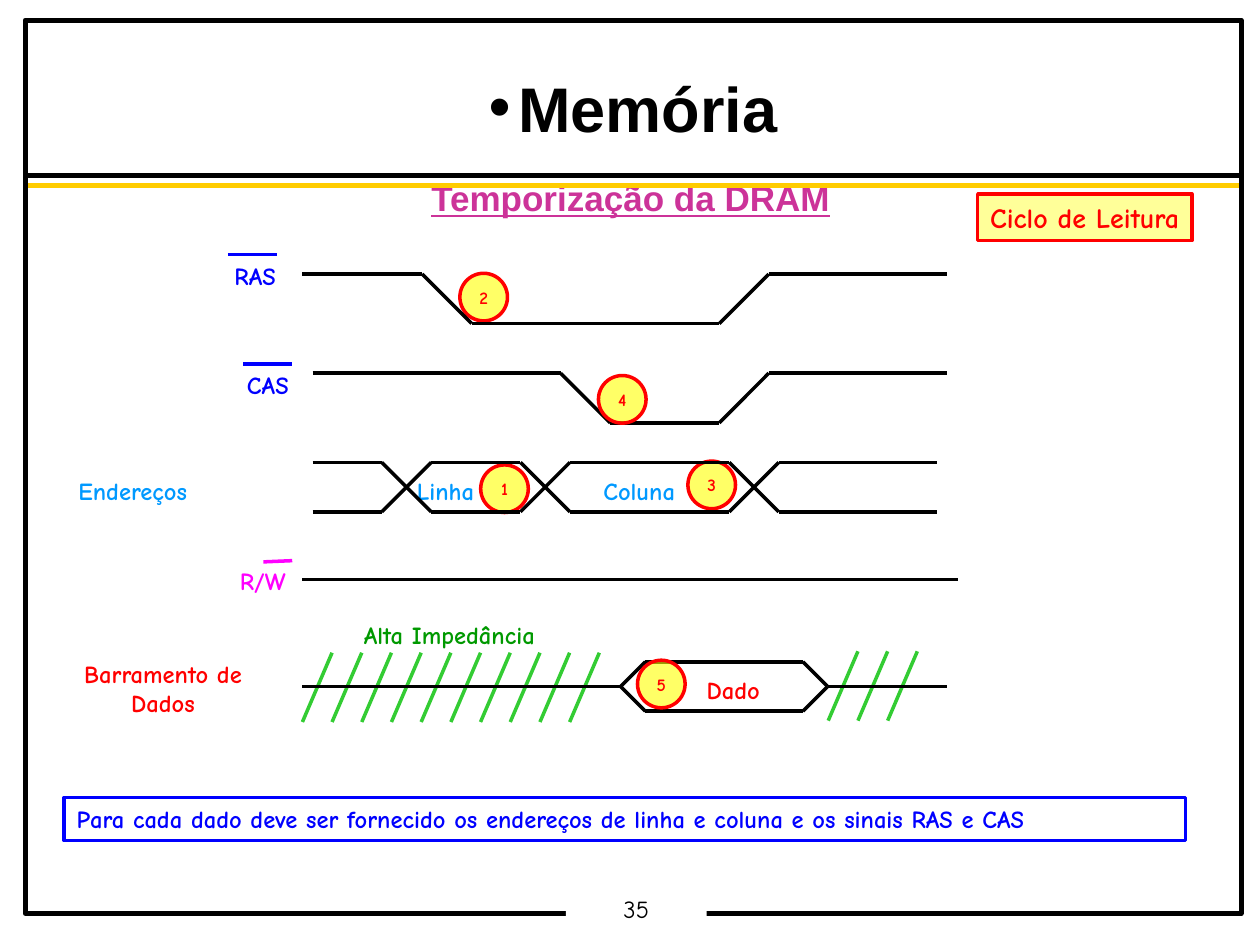
import pptx
import pptx.dml.color
import pptx.enum.shapes
import pptx.enum.text
import pptx.oxml.ns
import pptx.util
from lxml import etree

Pt = pptx.util.Pt
RGBColor = pptx.dml.color.RGBColor
Shape = pptx.enum.shapes.MSO_SHAPE
Align = pptx.enum.text.PP_ALIGN
Anchor = pptx.enum.text.MSO_ANCHOR
qn = pptx.oxml.ns.qn

BLACK = RGBColor(0x00, 0x00, 0x00)
WHITE = RGBColor(0xFF, 0xFF, 0xFF)
GOLD = RGBColor(0xFF, 0xCC, 0x00)
YELLOW = RGBColor(0xFF, 0xFF, 0x00)
RED = RGBColor(0xFF, 0x00, 0x00)
BLUE = RGBColor(0x00, 0x00, 0xFF)
SKY = RGBColor(0x00, 0x99, 0xFF)
MAGENTA = RGBColor(0xFF, 0x00, 0xFF)
PLUM = RGBColor(0xCC, 0x33, 0x99)
GREEN = RGBColor(0x00, 0x99, 0x00)
LIME = RGBColor(0x33, 0xCC, 0x33)
HAND_FONT = "Comic Neue"

# Content: text, box (left, top, width, height), colour, wrapped and centred
LABELS = [
    ("RAS", (118.8, 145.4, 54, 24.5), BLUE, True),
    ("CAS", (124.6, 208.1, 56.9, 24.5), BLUE, True),
    ("Endereços", (19.4, 268.6, 113, 24.5), SKY, True),
    ("Linha", (231.1, 268.6, 46.8, 24.5), SKY, False),
    ("Coluna", (337.7, 268.6, 55.4, 24.5), SKY, False),
    ("R/W", (121.7, 319.7, 56.9, 24.5), MAGENTA, True),
    ("Alta Impedância", (200.9, 350.6, 112.3, 24.5), GREEN, False),
    ("Barramento de Dados", (36.7, 373, 113, 41), RED, True),
    ("Dado", (396.7, 382.3, 44.6, 24.5), RED, False),
]
NEGATION_BARS = [
    ((130.3, 145.4), (158.4, 145.4), BLUE),
    ((139, 208.1), (167, 208.1), BLUE),
    ((150.5, 321.1), (167, 320.4), MAGENTA),
]
# Numbered steps: number, left, top
STEPS_BEHIND = [("1", 274.7, 265.7), ("2", 262.8, 156.2), ("3", 393.1, 263.5)]
STEPS_IN_FRONT = [("4", 342, 214.6), ("5", 364.3, 377.3)]
STEP_SIZE = 27.2

# Signals: start, end, high level, x of each transition, starts high
SWING = 28.3
SIGNALS = [
    (172.8, 541.4, 156.6, [241.2, 411], True),
    (178.6, 541.4, 213.3, [320.4, 411], True),
    (178.6, 535.5, 264.2, [218.2, 297.4, 416.7], True),
    (178.6, 535.5, 264.2, [218.2, 297.4, 416.7], False),
    (172.8, 547.2, 331.2, [], True),
]
DATA_MIDDLE = 392.3
DATA_START, DATA_OPEN, DATA_CLOSE, DATA_END = 172.8, 354.6, 473, 541.4
# High impedance strokes: first foot, count, top
HATCHES = [(172.8, 10, 373), (473.3, 3, 372.2)]
HATCH_STEP, HATCH_HEIGHT = 16.97, 39.6

presentation = pptx.Presentation()
presentation.slide_width, presentation.slide_height = Pt(720), Pt(540)
slide = presentation.slides.add_slide(presentation.slide_layouts[1])


def points(values):
    return [Pt(round(value, 2)) for value in values]


def write(shape, text, size, color, font=HAND_FONT, bold=True,
          align=Align.LEFT, wrap=True, anchor=Anchor.TOP):
    frame = shape.text_frame
    frame.text = text
    frame.auto_size = pptx.enum.text.MSO_AUTO_SIZE.NONE
    frame.word_wrap = wrap
    frame.vertical_anchor = anchor
    paragraph = frame.paragraphs[0]
    paragraph.alignment = align
    run_font = paragraph.runs[0].font
    run_font.name, run_font.size, run_font.bold = font, Pt(size), bold
    run_font.color.rgb = color
    return paragraph


def add_box(kind, box, line=None, width=2, fill=None, opacity=100):
    shape = slide.shapes.add_shape(kind, *points(box))
    shape.shadow.inherit = False
    if fill is None:
        shape.fill.background()
    else:
        shape.fill.solid()
        shape.fill.fore_color.rgb = fill
        if opacity < 100:
            color = shape.fill._xPr.find(".//" + qn("a:srgbClr"))
            etree.SubElement(color, qn("a:alpha"), val=str(opacity * 1000))
    if line is None:
        shape.line.fill.background()
    else:
        shape.line.color.rgb, shape.line.width = line, Pt(width)
    return shape


def add_line(start, end, color=BLACK, width=2):
    connector = slide.shapes.add_connector(
        pptx.enum.shapes.MSO_CONNECTOR.STRAIGHT, *points(start + end))
    connector.line.color.rgb, connector.line.width = color, Pt(width)
    etree.SubElement(connector._element.spPr, qn("a:effectLst"))


def add_trace(corners):
    for start, end in zip(corners, corners[1:]):
        add_line(start, end)


def add_steps(steps):
    for number, left, top in steps:
        circle = add_box(Shape.OVAL, (left, top, STEP_SIZE, STEP_SIZE), RED,
                         fill=YELLOW, opacity=60)
        write(circle, number, 10, RED, align=Align.CENTER, wrap=False,
              anchor=Anchor.MIDDLE)


def place(shape, box):
    shape.left, shape.top, shape.width, shape.height = points(box)


# Frame, rules and page number
add_line((14.4, 100.1), (708.5, 100.1), width=3)
add_line((14.4, 105.8), (708.5, 105.8), GOLD, 3)
add_box(Shape.RECTANGLE, (14.4, 11.5, 694.8, 510.5), BLACK, 2.83)
page_box = add_box(Shape.RECTANGLE, (323.3, 510.5, 80.6, 19.4), fill=WHITE)
page = write(page_box, "35", 14, BLACK, bold=False, align=Align.CENTER, wrap=False)
page.line_spacing = 0.9
page_box.text_frame.margin_top = page_box.text_frame.margin_bottom = Pt(2.2)

# Title and subtitle
title, body = slide.shapes.title, slide.placeholders[1]
place(title, (14.4, 14.4, 694.8, 85))
heading = write(title, "Memória", 36, BLACK, "Arial", align=Align.CENTER)
properties = heading._p.get_or_add_pPr()
bullet_color = etree.SubElement(properties, qn("a:buClr"))
etree.SubElement(bullet_color, qn("a:srgbClr"), val=str(BLACK))
etree.SubElement(properties, qn("a:buFont"), typeface="Arial")
etree.SubElement(properties, qn("a:buChar"), char="•")
heading.line_spacing = 1.5

place(body, (35.3, 100.1, 650.2, 369.4))
subtitle = write(body, "Temporização da DRAM", 20, PLUM, "Arial", align=Align.CENTER)
properties = subtitle._p.get_or_add_pPr()
properties.set("marL", "0")
properties.set("indent", "0")
etree.SubElement(properties, qn("a:buNone"))
subtitle.line_spacing = 0.9
subtitle.space_before = Pt(0)
subtitle.runs[0].font.underline = True

# High impedance strokes
for first, count, top in HATCHES:
    for index in range(count):
        foot = first + index * HATCH_STEP
        add_line((foot + HATCH_STEP, top), (foot, top + HATCH_HEIGHT), LIME)

# Labels and negation bars
for text, box, color, centred in LABELS:
    write(slide.shapes.add_textbox(*points(box)), text, 14, color,
          align=Align.CENTER if centred else Align.LEFT, wrap=centred)
for start, end, color in NEGATION_BARS:
    add_line(start, end, color)

# Signal traces: the level flips at each transition
add_steps(STEPS_BEHIND)
for start, end, high, transitions, is_high in SIGNALS:
    levels = [high, high + SWING]
    state = 0 if is_high else 1
    corners = [(start, levels[state])]
    for x in transitions:
        corners.append((x, levels[state]))
        state = 1 - state
        corners.append((x + SWING, levels[state]))
    add_trace(corners + [(end, levels[state])])

# Data bus: idle line, open window, idle line
half = SWING / 2
add_trace([(DATA_START, DATA_MIDDLE), (DATA_OPEN, DATA_MIDDLE)])
for edge in (DATA_MIDDLE - half, DATA_MIDDLE + half):
    add_trace([(DATA_OPEN, DATA_MIDDLE), (DATA_OPEN + half, edge),
               (DATA_CLOSE - half, edge), (DATA_CLOSE, DATA_MIDDLE)])
add_trace([(DATA_CLOSE, DATA_MIDDLE), (DATA_END, DATA_MIDDLE)])
add_steps(STEPS_IN_FRONT)

# Boxed captions
cycle_box = add_box(Shape.RECTANGLE, (558.7, 110.9, 122.4, 26.6), RED,
                    fill=YELLOW, opacity=40)
write(cycle_box, "Ciclo de Leitura", 16, RED, wrap=False)
note_box = add_box(Shape.RECTANGLE, (36.7, 455.8, 640.8, 24.5), BLUE)
write(note_box, "Para cada dado deve ser fornecido os endereços de linha "
      "e coluna e os sinais RAS e CAS", 14, BLUE)

presentation.save("out.pptx")
